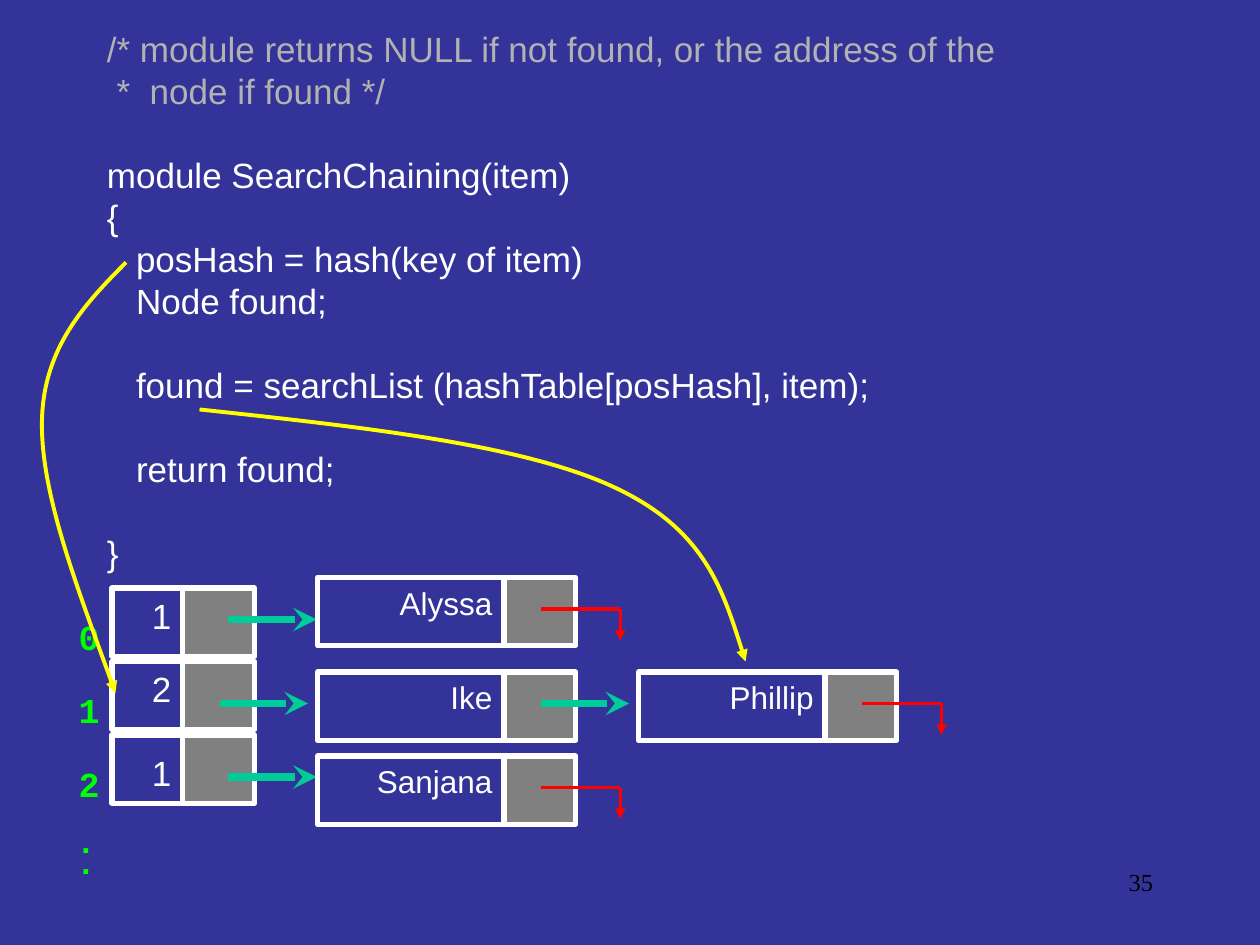
from dataclasses import dataclass
from typing import Optional

from lxml.etree import SubElement
from pptx import Presentation
from pptx.dml.color import RGBColor
from pptx.enum.shapes import MSO_CONNECTOR, MSO_SHAPE
from pptx.enum.text import MSO_ANCHOR, PP_ALIGN
from pptx.oxml.ns import qn
from pptx.util import Pt


@dataclass(frozen=True)
class Theme:
    background: str = "333399"
    text: str = "FFFFFF"
    comment: str = "B2B2B2"
    index: str = "00FF00"
    pointer: str = "808080"
    link: str = "00CC99"
    null: str = "FF0000"
    curve: str = "FFFF00"
    page: str = "000000"
    sans: str = "Arial"
    mono: str = "Courier New"
    serif: str = "Times New Roman"
    code_size: float = 20
    name_size: float = 18
    page_size: float = 14
    dots_size: float = 28
    leading: float = 1.2


@dataclass(frozen=True)
class CodeLine:
    text: str
    indent: int = 0  # in space widths
    gap: bool = False  # one empty line above
    color: str = Theme.text


@dataclass(frozen=True)
class Bucket:
    count: str
    link_left: float
    link_y: float
    label_drop: float = 0


@dataclass(frozen=True)
class Node:
    name: str
    left: float
    top: float
    last: bool = True


THEME = Theme()
SPACE_W = 5.56
CELL_W, CELL_H, CELL_STEP = 41, 39, 40.5
NAME_W, NAME_STEP = 107, 106.5
TABLE_LEFT, TABLE_TOP, ROW_STEP = 64, 336, 42
LINK_LEN = 50.5
POINTER_DX, POINTER_DY, NULL_W, NULL_H = 127.5, 18, 45.5, 18

CODE = [
    CodeLine("/* module returns NULL if not found, or the address of the", color=THEME.comment),
    CodeLine("*  node if found */", 1, color=THEME.comment),
    CodeLine("module SearchChaining(item)", gap=True),
    CodeLine("{"),
    CodeLine("posHash = hash(key of item)", 3),
    CodeLine("Node found;", 3),
    CodeLine("found = searchList (hashTable[posHash], item);", 3, gap=True),
    CodeLine("return found;", 3, gap=True),
    CodeLine("}", gap=True),
]
BUCKETS = [
    Bucket("1", 130.5, 354),
    Bucket("2", 125.5, 402),
    Bucket("1", 130.5, 444, label_drop=6),
]
NODES = [
    Node("Alyssa", 181.5, 330),
    Node("Ike", 181.5, 384, last=False),
    Node("Phillip", 365, 384),
    Node("Sanjana", 181.5, 432),
]
# Each curve: a start point, then three Bézier points per segment
CURVES = [
    [(72, 150), (48, 174), (25, 199), (24, 240), (23, 281), (45, 338), (66, 396)],
    [(114, 234), (206.5, 244), (299, 254), (351, 278.5),
     (402.5, 302.5), (414, 340), (426, 378)],
]


def rgb(color: str) -> RGBColor:
    return RGBColor.from_string(color)


def write(p, text: str, *, size: float = THEME.code_size, font: str = THEME.sans,
          color: str = THEME.text, bold: bool = False, align=PP_ALIGN.LEFT) -> None:
    p.alignment = align
    p.line_spacing = Pt(size * THEME.leading)
    r = p.add_run()
    r.text = text
    r.font.size, r.font.name, r.font.bold = Pt(size), font, bold
    r.font.color.rgb = rgb(color)


def add_text_frame(slide, left: float, top: float, width: float, height: float):
    tf = slide.shapes.add_textbox(Pt(left), Pt(top), Pt(width), Pt(height)).text_frame
    tf.word_wrap = True
    return tf


def add_label(slide, text: str, left: float, top: float, width: float,
              height: float, **fmt) -> None:
    tf = add_text_frame(slide, left, top, width, height)
    write(tf.paragraphs[0], text, align=PP_ALIGN.RIGHT, **fmt)


def add_code(slide) -> None:
    tf = add_text_frame(slide, 54, 12, 570, 320)
    for i, line in enumerate(CODE):
        p = tf.add_paragraph() if i else tf.paragraphs[0]
        write(p, line.text, color=line.color)
        if line.gap:
            p.space_before = Pt(THEME.code_size * THEME.leading)
        p._p.get_or_add_pPr().set("marL", str(Pt(line.indent * SPACE_W)))


def add_cell(slide, left: float, top: float, width: float,
             fill: Optional[str] = None, text: str = "",
             size: float = THEME.code_size, drop: float = 0) -> None:
    sp = slide.shapes.add_shape(MSO_SHAPE.RECTANGLE, Pt(left), Pt(top), Pt(width), Pt(CELL_H))
    sp.shadow.inherit = False
    if fill:
        sp.fill.solid()
        sp.fill.fore_color.rgb = rgb(fill)
    else:
        sp.fill.background()
    sp.line.color.rgb, sp.line.width = rgb(THEME.text), Pt(3)
    if text:
        tf = sp.text_frame
        tf.vertical_anchor = MSO_ANCHOR.TOP
        tf.margin_top = Pt(3.6 + drop)
        write(tf.paragraphs[0], text, size=size, align=PP_ALIGN.RIGHT)


def style_line(sp, color: str, width: float, head: Optional[str]) -> None:
    sp.line.color.rgb, sp.line.width = rgb(color), Pt(width)
    if head:
        SubElement(sp.line._get_or_add_ln(), qn("a:tailEnd"), type=head)


def add_line(slide, x1: float, y1: float, x2: float, y2: float, color: str,
             width: float, head: Optional[str] = None) -> None:
    cx = slide.shapes.add_connector(MSO_CONNECTOR.STRAIGHT, Pt(x1), Pt(y1), Pt(x2), Pt(y2))
    style_line(cx, color, width, head)
    SubElement(cx._element.spPr, qn("a:effectLst"))


def add_link(slide, left: float, y: float) -> None:
    add_line(slide, left, y, left + LINK_LEN, y, THEME.link, 4.5, "stealth")


def add_bucket(slide, row: int, bucket: Bucket) -> None:
    top = TABLE_TOP + row * ROW_STEP
    add_label(slide, str(row), 0, top + 12, TABLE_LEFT, 32,
              font=THEME.mono, color=THEME.index, bold=True)
    add_cell(slide, TABLE_LEFT, top, CELL_W, text=bucket.count, drop=bucket.label_drop)
    add_cell(slide, TABLE_LEFT + CELL_STEP, top, CELL_W, THEME.pointer)
    add_link(slide, bucket.link_left, bucket.link_y)


def add_node(slide, node: Node) -> None:
    add_cell(slide, node.left, node.top, NAME_W, text=node.name, size=THEME.name_size)
    add_cell(slide, node.left + NAME_STEP, node.top, CELL_W, THEME.pointer)
    x, y = node.left + POINTER_DX, node.top + POINTER_DY
    if node.last:
        end = x + NULL_W
        add_line(slide, x, y, end, y, THEME.null, 2)
        add_line(slide, end, y, end, y + NULL_H, THEME.null, 2, "triangle")
    else:
        add_link(slide, x, y)


def add_curve(slide, points: list[tuple[float, float]]) -> None:
    """Build an open outline and turn each three line steps into one Bézier step."""
    start, *rest = [(Pt(x), Pt(y)) for x, y in points]
    builder = slide.shapes.build_freeform(*start)
    builder.add_line_segments(rest, close=False)
    sp = builder.convert_to_shape()
    sp.shadow.inherit = False
    sp.fill.background()
    style_line(sp, THEME.curve, 2.25, "triangle")
    outline = next(sp._element.iter(qn("a:moveTo"))).getparent()
    steps = outline.findall(qn("a:lnTo"))
    for i in range(0, len(steps), 3):
        bezier = SubElement(outline, qn("a:cubicBezTo"))
        for step in steps[i:i + 3]:
            bezier.append(step[0])
            outline.remove(step)


def main() -> None:
    prs = Presentation()
    prs.slide_width, prs.slide_height = Pt(720), Pt(540)
    slide = prs.slides.add_slide(prs.slide_layouts[6])
    slide.background.fill.solid()
    slide.background.fill.fore_color.rgb = rgb(THEME.background)

    add_label(slide, "35", 516, 492, 150, 36,
              size=THEME.page_size, font=THEME.serif, color=THEME.page)
    add_code(slide)
    for row, bucket in enumerate(BUCKETS):
        add_bucket(slide, row, bucket)
    add_label(slide, ":", 0, 468, 60, 41, size=THEME.dots_size, color=THEME.index)
    for node in NODES:
        add_node(slide, node)
    for points in CURVES:
        add_curve(slide, points)
    prs.save("out.pptx")


if __name__ == "__main__":
    main()
